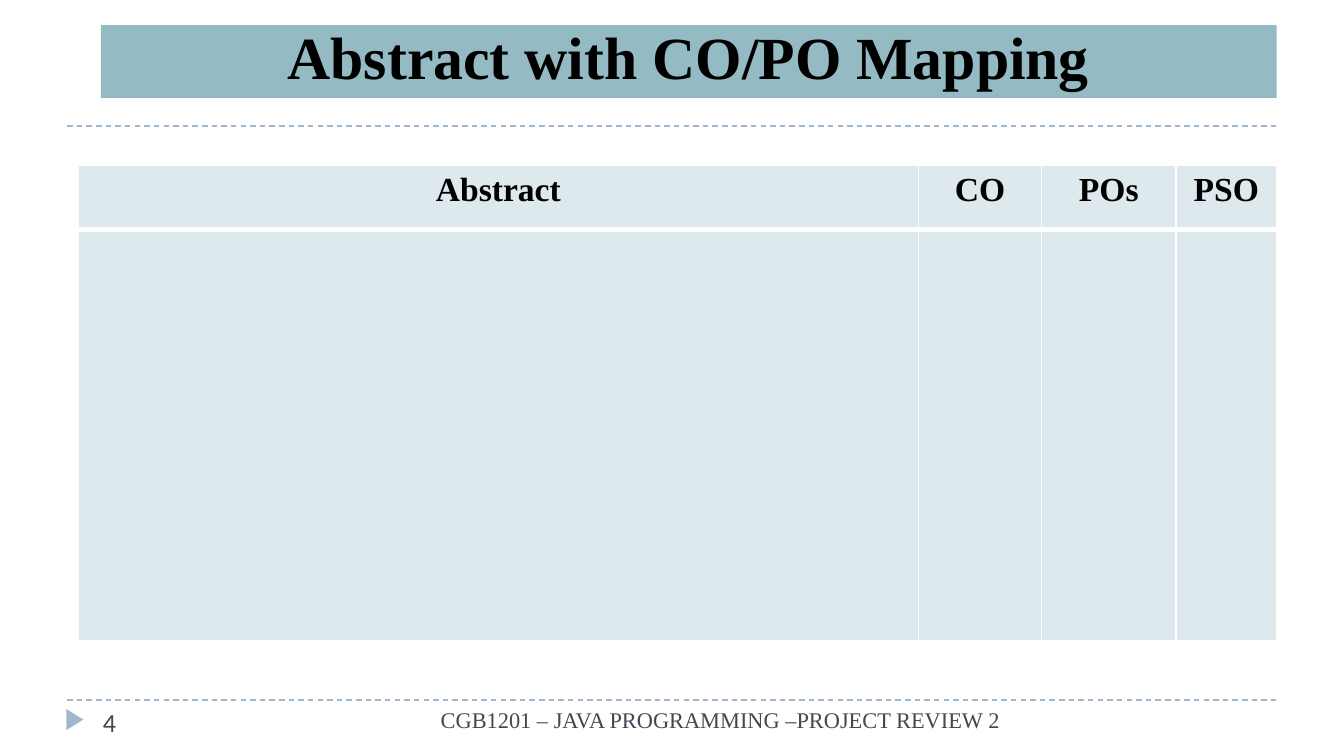
"""Build the abstract and CO/PO mapping slide."""
from lxml import etree
from pptx import Presentation
from pptx import util as u
from pptx.dml.color import RGBColor
from pptx.enum import dml, shapes, text
from pptx.oxml.ns import qn

PX = 9525
SIZE = (960, 540)
HUES = {"rule": "9FB8CD", "band": "94BAC3", "cell": "DDE9EC",
        "ink": "000000", "foot": "464653", "edge": "FFFFFF"}
SERIF = "Times New Roman"
LEFT, RIGHT = 48, 912
RULES = [500, 90]
TITLE = "Abstract with CO/PO Mapping"
HEADS = ["Abstract", "CO", "POs", "PSO"]
COLS = [600, 88, 96, 72]
ROWS = [46, 294]
GRID = (56, 118)
MARK = (46, 508, 15, 12)
BAND = (72, 18, 840, 52)
NOTES = [
    ("CGB1201 – JAVA PROGRAMMING –PROJECT REVIEW 2 ", (296, 500, 432, 39),
     "RIGHT", {"size": u.Pt(12), "name": SERIF}),
    ("4", (64, 500, 208, 29), "LEFT", {"size": u.Pt(14), "name": "Calibri"}),
]


def px(*nums):
    return [u.Emu(n * PX) for n in nums]


def hue(name):
    return RGBColor.from_string(HUES[name])


def paint(item, name):
    item.fill.solid()
    item.fill.fore_color.rgb = hue(name)


def write(frame, words, side, tone, form):
    para = frame.paragraphs[0]
    para.alignment = getattr(text.PP_ALIGN, side)
    run = para.add_run()
    run.text = words
    for key, val in form.items():
        setattr(run.font, key, val)
    run.font.color.rgb = hue(tone)


def edge(cell, sides):
    props = cell._tc.get_or_add_tcPr()
    for spot, (side, wide) in enumerate(sides.items()):
        line = etree.Element(qn("a:ln" + side), w=str(u.Pt(wide)))
        fill = etree.SubElement(line, qn("a:solidFill"))
        etree.SubElement(fill, qn("a:srgbClr"), val=HUES["edge"])
        props.insert(spot, line)


def block(slide, kind, box, tone):
    shape = slide.shapes.add_shape(kind, *px(*box))
    shape.shadow.inherit = False
    paint(shape, tone)
    shape.line.fill.background()
    return shape


def rule(slide, y):
    line = slide.shapes.add_connector(
        shapes.MSO_CONNECTOR.STRAIGHT, *px(LEFT, y, RIGHT, y))
    line.line.color.rgb = hue("rule")
    line.line.width = u.Pt(0.75)
    line.line.dash_style = dml.MSO_LINE.DASH
    etree.SubElement(line._element.spPr, qn("a:effectLst"))


def table(slide):
    grid = slide.shapes.add_table(
        len(ROWS), len(COLS), *px(*GRID, sum(COLS), sum(ROWS))).table
    for col, wide in zip(grid.columns, px(*COLS)):
        col.width = wide
    for row, (line, high) in enumerate(zip(grid.rows, px(*ROWS))):
        line.height = high
        for cell in line.cells:
            paint(cell, "cell")
            edge(cell, {"L": 1, "R": 1, "T": 1 if row == 0 else 3,
                        "B": 3 if row == 0 else 1})
    for cell, head in zip(grid.rows[0].cells, HEADS):
        write(cell.text_frame, head, "CENTER", "ink",
              {"size": u.Pt(18), "name": SERIF, "bold": True})


def main():
    deck = Presentation()
    deck.slide_width, deck.slide_height = px(*SIZE)
    slide = deck.slides.add_slide(deck.slide_layouts[6])
    for y in RULES:
        rule(slide, y)
    mark = block(slide, shapes.MSO_SHAPE.ISOSCELES_TRIANGLE, MARK, "rule")
    mark.rotation = 90
    band = block(slide, shapes.MSO_SHAPE.RECTANGLE, BAND, "band")
    band.text_frame.vertical_anchor = text.MSO_ANCHOR.BOTTOM
    write(band.text_frame, TITLE, "CENTER", "ink",
          {"size": u.Pt(32), "name": SERIF, "bold": True})
    for words, box, side, form in NOTES:
        frame = slide.shapes.add_textbox(*px(*box)).text_frame
        frame.word_wrap = True
        write(frame, words, side, "foot", form)
    table(slide)
    deck.save("out.pptx")


if __name__ == "__main__":
    main()
